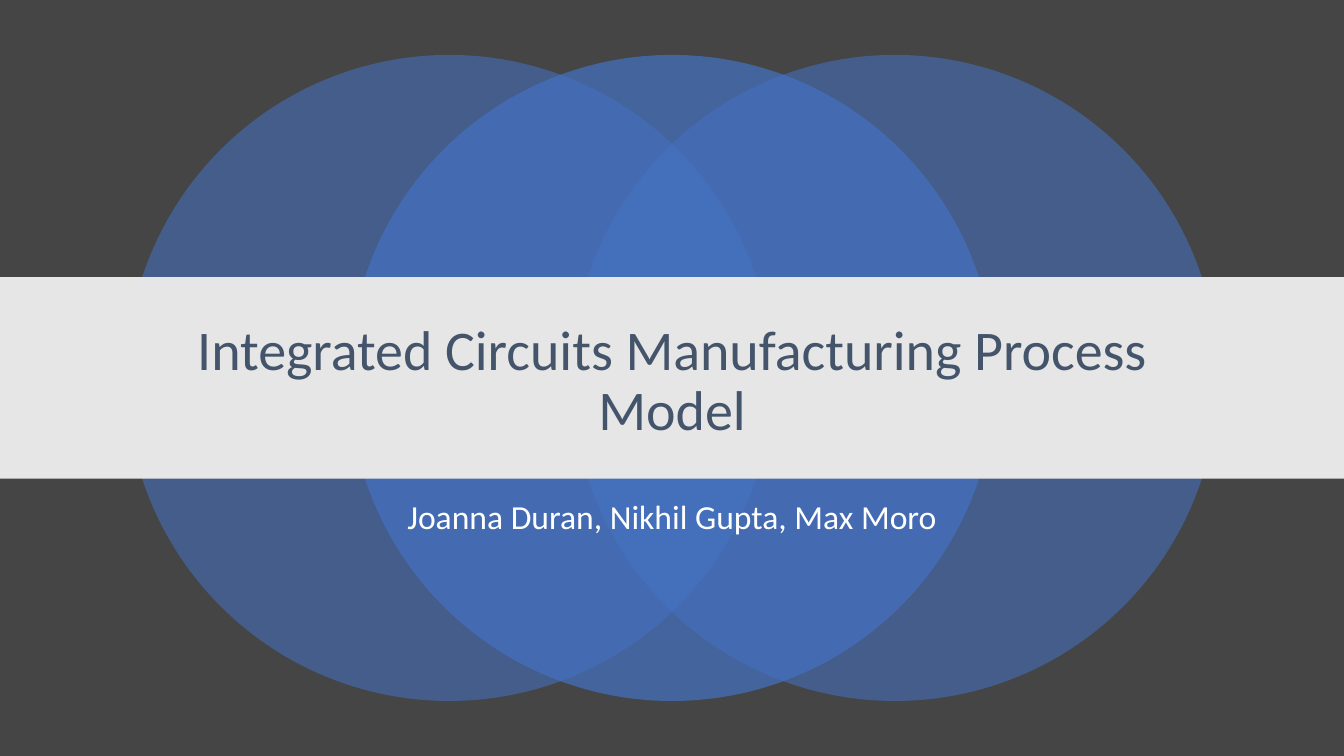
from lxml.etree import SubElement
from pptx import Presentation
from pptx.dml.color import RGBColor
from pptx.enum.shapes import MSO_SHAPE
from pptx.enum.text import MSO_ANCHOR, MSO_AUTO_SIZE, PP_ALIGN
from pptx.oxml.ns import qn
from pptx.util import Inches, Pt

CHARCOAL = RGBColor(0x45, 0x45, 0x45)
BLUE = RGBColor(0x44, 0x72, 0xC4)
LIGHT_GRAY = RGBColor(0xE7, 0xE6, 0xE6)
SLATE = RGBColor(0x44, 0x54, 0x6A)
WHITE = RGBColor(0xFF, 0xFF, 0xFF)

SLIDE_WIDTH, SLIDE_HEIGHT = 13.33, 7.5
TITLE_ONLY_LAYOUT = 5


def write_text(shape, text, *, size, color, anchor=MSO_ANCHOR.TOP, space_before=0, font="Calibri"):
    """Fill a shape with one centred, formatted paragraph."""
    frame = shape.text_frame
    frame.word_wrap = True
    frame.auto_size = MSO_AUTO_SIZE.NONE
    frame.vertical_anchor = anchor
    paragraph = frame.paragraphs[0]
    paragraph.alignment = PP_ALIGN.CENTER
    paragraph.line_spacing = 0.9
    paragraph.space_before = Pt(space_before)
    run = paragraph.add_run()
    run.text = text
    run.font.name = font
    run.font.size = Pt(size)
    run.font.color.rgb = color


class TitleSlide:
    """Holds the slide and the widths shared by its text."""

    text_width = 10
    text_left = (SLIDE_WIDTH - text_width) / 2

    def __init__(self, presentation):
        self.slide = presentation.slides.add_slide(presentation.slide_layouts[TITLE_ONLY_LAYOUT])
        background = self.slide.background.fill
        background.solid()
        background.fore_color.rgb = CHARCOAL

    def add_shape(self, shapes, kind, left, top, width, height, color, opacity=100):
        shape = shapes.add_shape(kind, Inches(left), Inches(top), Inches(width), Inches(height))
        shape.shadow.inherit = False
        shape.line.fill.background()
        shape.fill.solid()
        shape.fill.fore_color.rgb = color
        if opacity < 100:
            color_element = shape.element.spPr.find(qn("a:solidFill"))[0]
            SubElement(color_element, qn("a:alpha"), val=str(opacity * 1000))

    def add_circles(self, diameter, spacing):
        """Three overlapping circles, the middle one in front."""
        circles = self.slide.shapes.add_group_shape().shapes
        left = (SLIDE_WIDTH - diameter) / 2
        top = (SLIDE_HEIGHT - diameter) / 2
        for step, opacity in ((-1, 55), (1, 55), (0, 70)):
            self.add_shape(circles, MSO_SHAPE.OVAL, left + step * spacing, top,
                           diameter, diameter, BLUE, opacity)

    def add_band(self, top, height):
        self.add_shape(self.slide.shapes, MSO_SHAPE.RECTANGLE, 0, top, SLIDE_WIDTH, height, LIGHT_GRAY)

    def add_text(self, text, top, height, **style):
        box = self.slide.shapes.add_textbox(Inches(self.text_left), Inches(top),
                                            Inches(self.text_width), Inches(height))
        write_text(box, text, **style)

    def add_title(self, text, top, height, **style):
        title = self.slide.shapes.title
        title.left, title.top = Inches(self.text_left), Inches(top)
        title.width, title.height = Inches(self.text_width), Inches(height)
        write_text(title, text, anchor=MSO_ANCHOR.MIDDLE, **style)
        # Bring the title in front of the band
        title.element.getparent().append(title.element)


def main():
    presentation = Presentation()
    presentation.slide_width = Inches(SLIDE_WIDTH)
    presentation.slide_height = Inches(SLIDE_HEIGHT)
    slide = TitleSlide(presentation)

    # Backdrop
    slide.add_circles(diameter=6.41, spacing=2.21)

    # Authors
    slide.add_text("Joanna Duran, Nikhil Gupta, Max Moro", 4.92, 0.83,
                   size=24, color=WHITE, space_before=10)

    # Title on its band
    slide.add_band(top=2.75, height=2)
    slide.add_title("Integrated Circuits Manufacturing Process Model", 3.04, 1.51,
                    size=40, color=SLATE)

    presentation.save("out.pptx")


if __name__ == "__main__":
    main()
